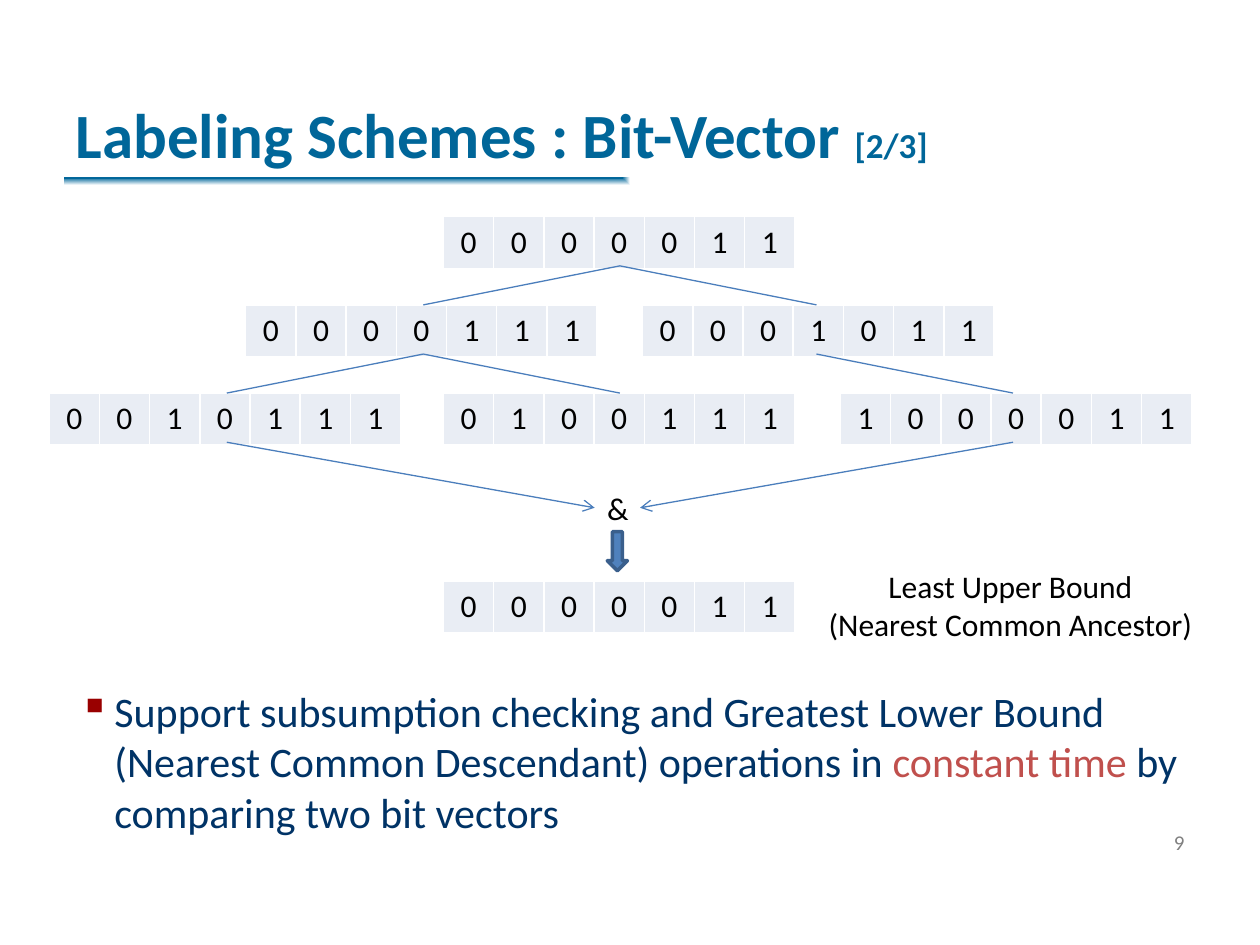
from lxml import etree
from pptx import Presentation
from pptx.dml.color import RGBColor as RGB
from pptx.enum.shapes import MSO_CONNECTOR as Link, MSO_SHAPE as Shape
from pptx.enum.text import MSO_ANCHOR as Anchor, PP_ALIGN as Align
from pptx.oxml.ns import qn
from pptx.util import Inches, Pt

HUES = {
    "title": "006699", "white": "FFFFFF", "body": "003366", "mark": "990000",
    "key": "C0504D", "text": "000000", "page": "808080", "cell": "E9EDF4",
    "arrow": "4F81BD", "edge": "3A5F8C", "line": "4B7EBC",
}


class Deck:
    font = "Calibri"

    def __init__(self):
        self.prs = Presentation()
        self.prs.slide_width, self.prs.slide_height = Inches(10), Inches(7.5)
        self.slide = self.prs.slides.add_slide(self.prs.slide_layouts[5])
        self.shapes = self.slide.shapes

    def hue(self, name):
        return RGB.from_string(HUES[name])

    def style(self, font, size, hue, bold=False):
        font.name, font.size, font.bold = self.font, Pt(size), bold
        font.color.rgb = self.hue(hue)

    def place(self, shape, box):
        shape.left, shape.top, shape.width, shape.height = map(Inches, box)

    def runs(self, para, parts, bold=False):
        for text, size, hue in parts:
            run = para.add_run()
            run.text = text
            self.style(run.font, size, hue, bold)

    def title(self, box, parts):
        shape = self.shapes.title
        self.place(shape, box)
        shape.text_frame.vertical_anchor = Anchor.BOTTOM
        para = shape.text_frame.paragraphs[0]
        para.alignment = Align.LEFT
        self.runs(para, parts, bold=True)

    def rule(self, box):
        bar = self.shapes.add_shape(Shape.RECTANGLE, *map(Inches, box))
        bar.shadow.inherit = False
        bar.line.fill.background()
        bar.fill.gradient()
        for stop, hue, pos in zip(bar.fill.gradient_stops, ("title", "white"), (0, 1)):
            stop.color.rgb, stop.position = self.hue(hue), pos
        # Fade out from the top left corner
        grad = bar._element.spPr.find(qn("a:gradFill"))
        grad.remove(grad.find(qn("a:lin")))
        fade = etree.SubElement(grad, qn("a:path"), path="rect")
        etree.SubElement(fade, qn("a:fillToRect"), r="100000", b="100000")

    def text(self, box, text, size=18, hue="text", align=Align.LEFT,
             wrap=False, anchor=Anchor.TOP):
        frame = self.shapes.add_textbox(*map(Inches, box)).text_frame
        frame.word_wrap, frame.vertical_anchor = wrap, anchor
        frame.text = text
        for para in frame.paragraphs:
            para.alignment = align
            for run in para.runs:
                self.style(run.font, size, hue)

    def bullet(self, box, parts):
        frame = self.shapes.add_textbox(*map(Inches, box)).text_frame
        frame.word_wrap = True
        para = frame.paragraphs[0]
        props = para._p.get_or_add_pPr()
        props.set("marL", str(Inches(0.31)))
        props.set("indent", str(Inches(-0.28)))
        tint = etree.SubElement(props, qn("a:buClr"))
        etree.SubElement(tint, qn("a:srgbClr"), val=HUES["mark"])
        etree.SubElement(props, qn("a:buChar"), char="▪")
        self.runs(para, parts)

    def bits(self, left, top, bits):
        wide, high = Inches(2.79), Inches(0.41)
        table = self.shapes.add_table(
            1, len(bits), Inches(left), Inches(top), wide, high).table
        table.first_row = table.horz_banding = False
        for col, bit in enumerate(bits):
            table.columns[col].width = wide // len(bits)
            cell = table.cell(0, col)
            cell.fill.solid()
            cell.fill.fore_color.rgb = self.hue("cell")
            cell.text_frame.text = bit
            para = cell.text_frame.paragraphs[0]
            para.alignment = Align.CENTER
            self.style(para.runs[0].font, 18, "text")

    def line(self, start, end, head=False):
        link = self.shapes.add_connector(
            Link.STRAIGHT, *map(Inches, (*start, *end)))
        link.line.color.rgb, link.line.width = self.hue("line"), Pt(0.75)
        if head:
            etree.SubElement(link.line._get_or_add_ln(), qn("a:tailEnd"), type="arrow")
        etree.SubElement(link._element.spPr, qn("a:effectLst"))

    def arrow(self, box):
        shape = self.shapes.add_shape(Shape.DOWN_ARROW, *map(Inches, box))
        shape.shadow.inherit = False
        shape.fill.solid()
        shape.fill.fore_color.rgb = self.hue("arrow")
        shape.line.color.rgb, shape.line.width = self.hue("edge"), Pt(2)


def main():
    deck = Deck()

    # Heading
    deck.rule((0.51, 1.41, 8.98, 0.12))
    deck.title((0.5, 0, 9, 1.41), [
        ("Labeling Schemes : Bit-Vector ", 36, "title"), ("[2/3]", 20, "title")])

    # Bit vectors: left edge, tier, bits
    tiers = [1.72, 2.42, 3.12, 4.61]
    for left, tier, bits in [
        (3.52, 0, "0000011"),
        (1.95, 1, "0000111"), (5.1, 1, "0001011"),
        (0.39, 2, "0010111"), (3.52, 2, "0100111"), (6.67, 2, "1000011"),
        (3.52, 3, "0000011"),
    ]:
        deck.bits(left, tiers[tier], bits)

    # Tree edges: upper tier, from slot, to slot
    slots = [1.8 + 1.56 * n for n in range(5)]
    drop = 0.39
    for tier, start, end in [(0, 2, 1), (0, 2, 3), (1, 1, 0), (1, 1, 2), (1, 3, 4)]:
        deck.line((slots[start], tiers[tier] + drop), (slots[end], tiers[tier + 1]))

    # AND of the two outer leaves
    deck.text((4.72, 3.83, 0.36, 0.4), "&")
    for slot, end in ((0, 4.72), (4, 5.08)):
        deck.line((slots[slot], tiers[2] + drop), (end, 4.03), head=True)
    deck.arrow((4.82, 4.22, 0.16, 0.31))
    deck.text((6.41, 4.45, 3.22, 0.71),
              "Least Upper Bound\n(Nearest Common Ancestor)", align=Align.CENTER)

    # Takeaway and page number
    deck.bullet((0.5, 5.39, 9, 1.31), [
        ("Support subsumption checking and Greatest Lower Bound "
         "(Nearest Common Descendant) operations in ", 24, "body"),
        ("constant time", 24, "key"),
        (" by comparing two bit vectors", 24, "body")])
    deck.text((8.98, 6.48, 0.52, 0.4), "9", 12, "page", Align.RIGHT,
              wrap=True, anchor=Anchor.MIDDLE)

    deck.prs.save("out.pptx")


if __name__ == "__main__":
    main()
